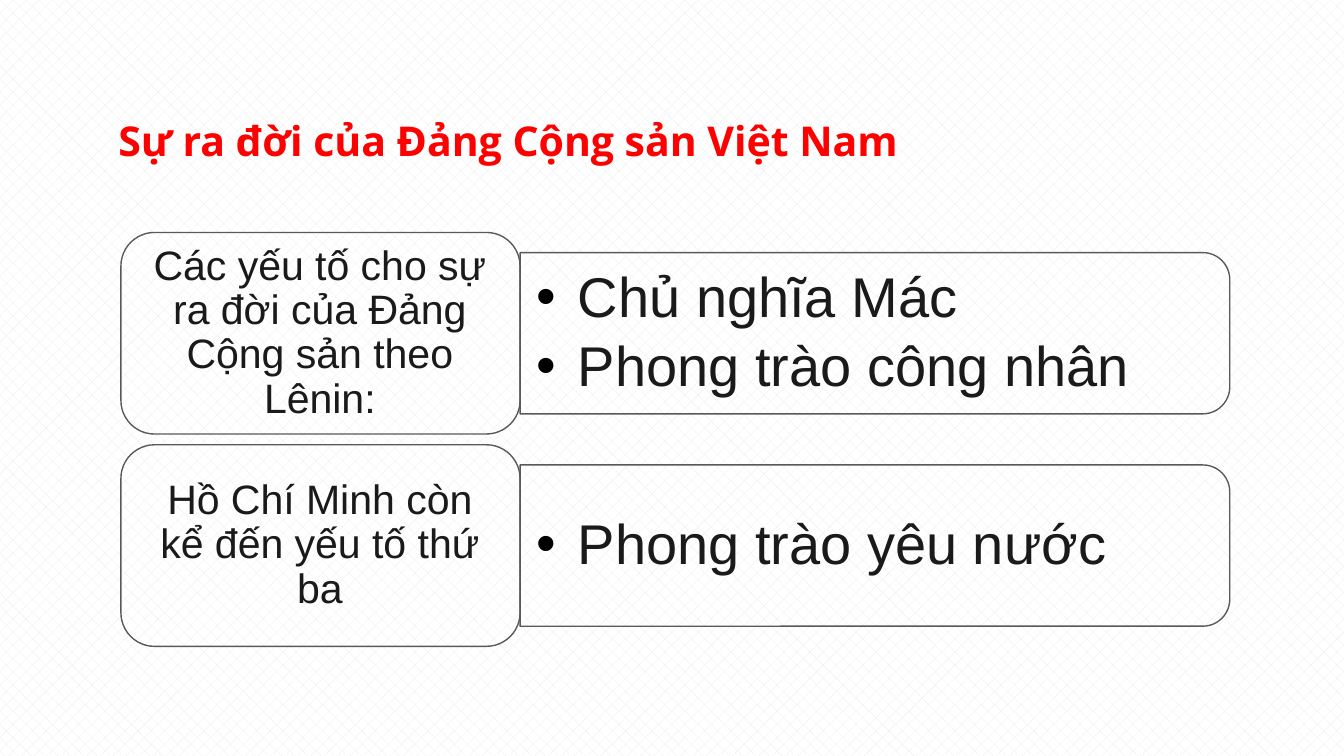
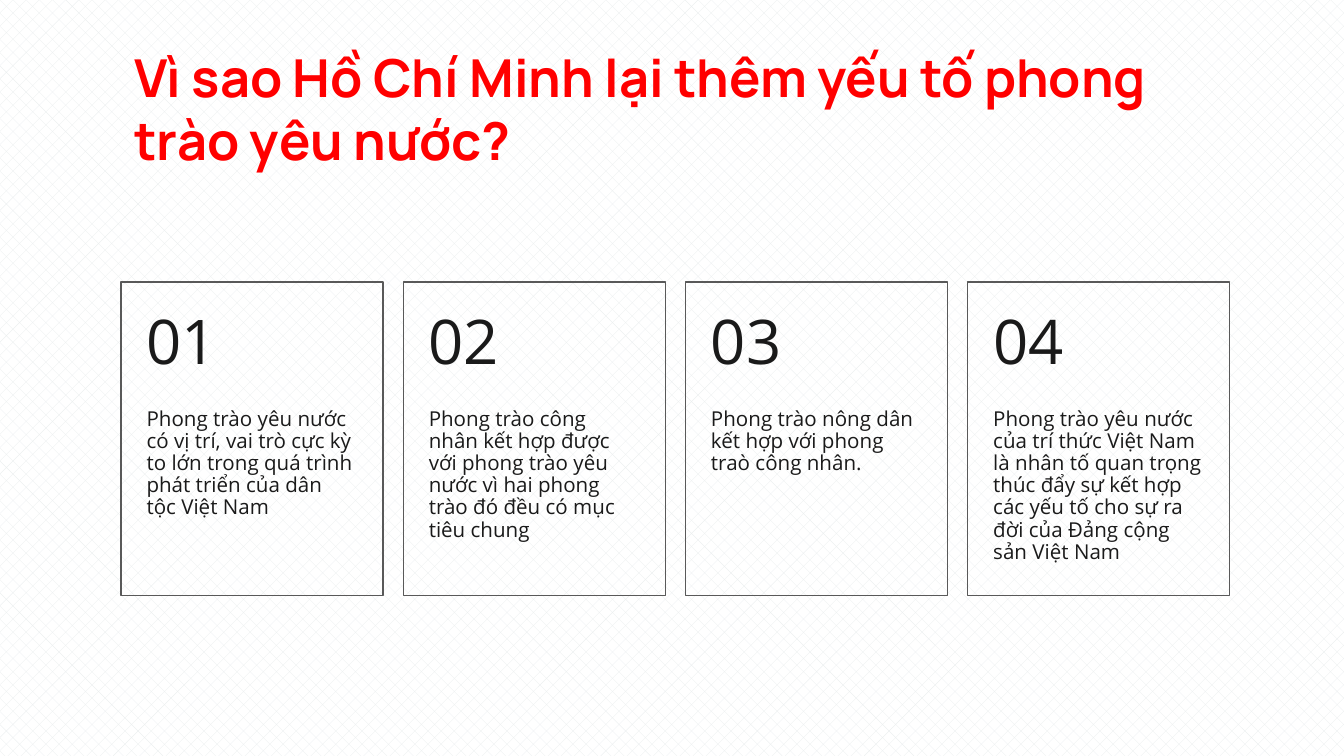
from dataclasses import dataclass

from lxml.etree import SubElement
from pptx import Presentation
from pptx.dml.color import RGBColor
from pptx.enum.dml import MSO_PATTERN
from pptx.enum.shapes import MSO_SHAPE as Kind
from pptx.enum.text import MSO_ANCHOR as Anchor, MSO_AUTO_SIZE as Fit, PP_ALIGN as Align
from pptx.oxml.ns import qn
from pptx.slide import Slide
from pptx.util import Inches, Pt

RED = RGBColor(0xFF, 0x00, 0x00)
INK = RGBColor(0x1A, 0x1A, 0x1A)
GREY = RGBColor(0x59, 0x59, 0x59)
MESH = RGBColor(0xE9, 0xED, 0xEE)
WHITE = RGBColor(0xFF, 0xFF, 0xFF)


@dataclass(frozen=True)
class Box:
    left: float
    top: float
    width: float
    height: float

    def place(self) -> tuple:
        return tuple(Inches(n) for n in (self.left, self.top, self.width, self.height))


@dataclass(frozen=True)
class Style:
    font: str
    size: float
    inset: tuple[float, float, float, float]
    color: RGBColor = INK
    bold: bool = False
    align: Align = Align.LEFT
    anchor: Anchor = Anchor.MIDDLE
    line: float = 0.9
    after: float = 0.35  # share of the font size
    bullet: bool = False


@dataclass(frozen=True)
class Factor:
    label: str
    points: list[str]


LABEL = Style("Arial", 22, (0.09, 0.05, 0.09, 0.05), align=Align.CENTER)
POINT = Style("Arial", 30, (0.12, 0.06, 0.12, 0.06), after=0.15, bullet=True)
NUMBER = Style("Open Sans", 33, (0.19, 0.18, 0.19, 0.18))
BODY = Style("Open Sans", 11, (0.19, 0, 0.2, 0.36), anchor=Anchor.TOP)
HEAD = dict(color=RED, bold=True, anchor=Anchor.TOP, line=1.0, after=0)
SMALL = Style("Open Sans", 22, (0.1, 0.05, 0.1, 0.05), **HEAD)
LARGE = Style("Manrope", 28, (0.1, 0.1, 0.1, 0.1), **HEAD)

FACTORS = [
    Factor("Các yếu tố cho sự ra đời của Đảng Cộng sản theo Lênin:",
           ["Chủ nghĩa Mác", "Phong trào công nhân"]),
    Factor("Hồ Chí Minh còn kể đến yếu tố thứ ba", ["Phong trào yêu nước"]),
]
REASONS = [
    "Phong trào yêu nước có vị trí, vai trò cực kỳ to lớn trong quá trình "
    "phát triển của dân tộc Việt Nam",
    "Phong trào công nhân kết hợp được với phong trào yêu nước vì hai phong "
    "trào đó đều có mục tiêu chung",
    "Phong trào nông dân kết hợp với phong traò công nhân.",
    "Phong trào yêu nước của trí thức Việt Nam là nhân tố quan trọng thúc đẩy "
    "sự kết hợp các yếu tố cho sự ra đời của Đảng cộng sản Việt Nam",
]
LEFT = 0.9


def add_bullet(para) -> None:
    props = para._p.get_or_add_pPr()
    props.set("marL", str(Inches(0.31)))
    props.set("indent", str(-Inches(0.31)))
    tint = SubElement(props, qn("a:buClr"))
    SubElement(tint, qn("a:srgbClr"), val="000000")
    SubElement(props, qn("a:buFont"), typeface="Arial")
    SubElement(props, qn("a:buChar"), char="•")


def write(shape, text: str, style: Style) -> None:
    frame = shape.text_frame
    frame.text = text
    frame.word_wrap = True
    frame.auto_size = Fit.NONE
    frame.vertical_anchor = style.anchor
    (frame.margin_left, frame.margin_top,
     frame.margin_right, frame.margin_bottom) = map(Inches, style.inset)
    for para in frame.paragraphs:
        if style.bullet:
            para.level = 1
            add_bullet(para)
        para.alignment = style.align
        para.line_spacing = style.line
        para.space_before = Pt(0)
        para.space_after = Pt(style.size * style.after)
        for run in para.runs:
            run.font.name = style.font
            run.font.size = Pt(style.size)
            run.font.bold = style.bold
            run.font.color.rgb = style.color


def add_text(slide: Slide, box: Box, text: str, style: Style) -> None:
    write(slide.shapes.add_textbox(*box.place()), text, style)


def add_frame(slide: Slide, kind: Kind, box: Box, turn: float = 0) -> None:
    """Draw an unfilled outline."""
    shape = slide.shapes.add_shape(kind, *box.place())
    shape.rotation = turn
    shape.shadow.inherit = False
    shape.fill.background()
    shape.line.color.rgb = GREY
    shape.line.width = Pt(0.75)


def add_slide(deck, title: str, box: Box, style: Style) -> Slide:
    slide = deck.slides.add_slide(deck.slide_layouts[5])
    head = slide.shapes.title
    head.left, head.top, head.width, head.height = box.place()
    write(head, title, style)
    return slide


def add_factor(slide: Slide, top: float, factor: Factor) -> None:
    add_frame(slide, Kind.ROUND_2_SAME_RECTANGLE, Box(5.91, top - 1.89, 1.2, 5.28), 90)
    add_text(slide, Box(3.87, top + 0.21, 5.22, 1.09), "\n".join(factor.points), POINT)
    add_frame(slide, Kind.ROUNDED_RECTANGLE, Box(LEFT, top, 2.97, 1.5))
    add_text(slide, Box(LEFT + 0.07, top + 0.07, 2.82, 1.36), factor.label, LABEL)


def add_card(slide: Slide, left: float, number: int, text: str) -> None:
    top, width = 2.1, 1.95
    add_frame(slide, Kind.RECTANGLE, Box(left, top, width, 2.33))
    add_text(slide, Box(left, top + 0.94, width, 1.4), text, BODY)
    add_text(slide, Box(left, top, width, 0.93), f"{number:02}", NUMBER)


def main() -> None:
    deck = Presentation()
    deck.slide_width = Inches(10)
    deck.slide_height = deck.slide_width * 9 // 16
    fill = deck.slide_master.background.fill
    fill.patterned()
    fill.pattern = MSO_PATTERN.PERCENT_30
    fill.fore_color.rgb = MESH
    fill.back_color.rgb = WHITE

    birth = add_slide(deck, "Sự ra đời của Đảng Cộng sản Việt Nam",
                      Box(0.78, 0.81, 6.08, 0.47), SMALL)
    for row, factor in enumerate(FACTORS):
        add_factor(birth, 1.73 + 1.58 * row, factor)

    cause = add_slide(deck, "Vì sao Hồ Chí Minh lại thêm yếu tố phong trào yêu nước?",
                      Box(LEFT, 0.24, 8.25, 1.19), LARGE)
    for col, text in enumerate(REASONS):
        add_card(cause, LEFT + 2.1 * col, col + 1, text)

    deck.save("out.pptx")


if __name__ == "__main__":
    main()
